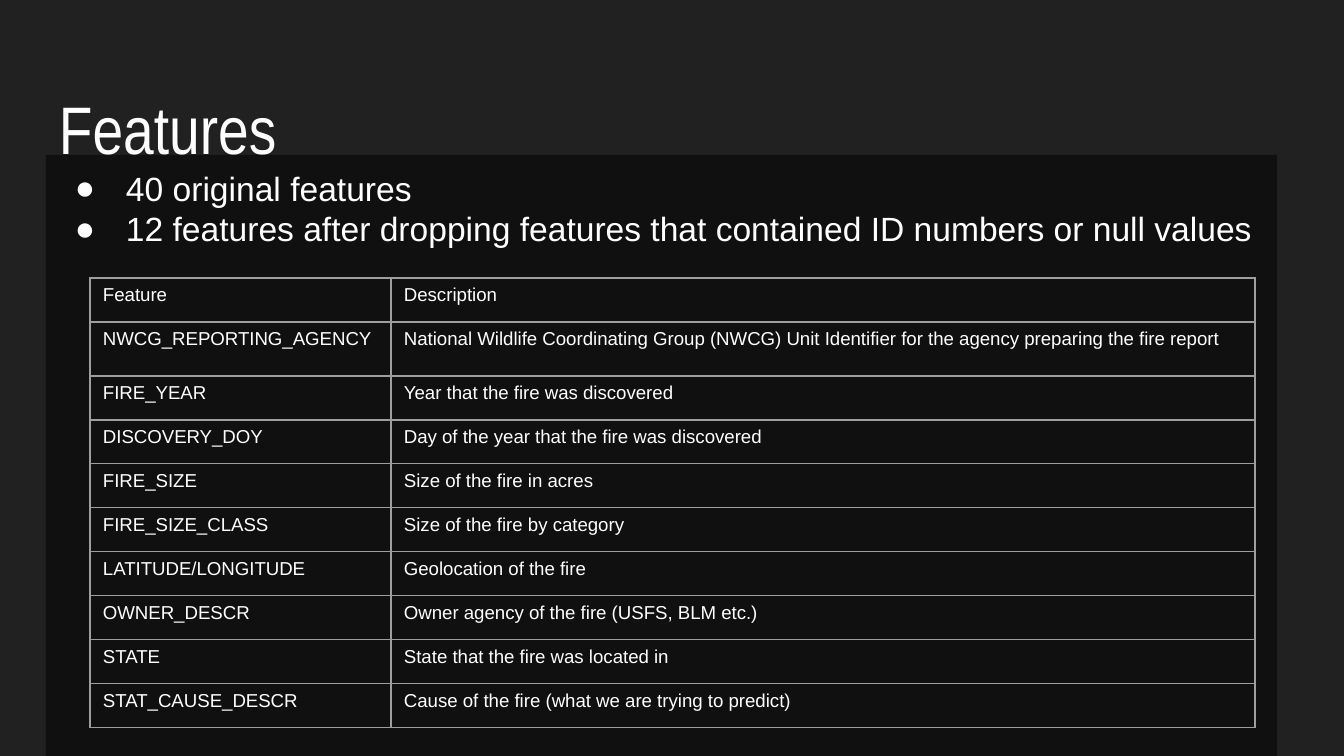
from lxml import etree
from pptx import Presentation
from pptx import util as u
from pptx.dml import color
from pptx.enum import text
from pptx.oxml import ns

PX = 914400 / 134.4
WHITE = "FFFFFF"
INSET = 13
FEATURES = [
    ("Feature", "Description"),
    ("NWCG_REPORTING_AGENCY", "National Wildlife Coordinating Group (NWCG) Unit Identifier "
                              "for the agency preparing the fire report"),
    ("FIRE_YEAR", "Year that the fire was discovered"),
    ("DISCOVERY_DOY", "Day of the year that the fire was discovered"),
    ("FIRE_SIZE", "Size of the fire in acres"),
    ("FIRE_SIZE_CLASS", "Size of the fire by category"),
    ("LATITUDE/LONGITUDE", "Geolocation of the fire"),
    ("OWNER_DESCR", "Owner agency of the fire (USFS, BLM etc.)"),
    ("STATE", "State that the fire was located in"),
    ("STAT_CAUSE_DESCR", "Cause of the fire (what we are trying to predict)"),
]
BULLETS = [
    "40 original features",
    "12 features after dropping features that contained ID numbers or null values",
]


def px(n):
    return u.Emu(round(n * PX))


def rgb(value):
    return color.RGBColor.from_string(value)


def sub(parent, tag, **attrs):
    el = etree.SubElement(parent, ns.qn(tag))
    for name, value in attrs.items():
        el.set(name, str(value))
    return el


def add_run(p, words, size, font="Arial"):
    r = p.add_run()
    r.text = words
    r.font.size = u.Pt(size)
    r.font.name = font
    r.font.color.rgb = rgb(WHITE)


def place(sp, box):
    sp.left, sp.top, sp.width, sp.height = map(px, box)
    tf = sp.text_frame
    tf.margin_left = tf.margin_right = tf.margin_top = tf.margin_bottom = px(INSET)
    tf.word_wrap = True
    tf.auto_size = text.MSO_AUTO_SIZE.NONE
    tf.vertical_anchor = text.MSO_ANCHOR.TOP
    return tf


def fill_title(sp, box):
    p = place(sp, box).paragraphs[0]
    p.alignment = text.PP_ALIGN.LEFT
    p.line_spacing = 1.1
    add_run(p, "Features", 36, "Arial Narrow")


def add_bullet(p, indent, hang):
    pPr = p._p.get_or_add_pPr()
    pPr.set("marL", str(px(indent)))
    pPr.set("indent", str(-px(hang)))
    sub(sub(pPr, "a:buClr"), "a:srgbClr", val=WHITE)
    sub(pPr, "a:buFont", typeface="Arial")
    sub(pPr, "a:buChar", char="●")


def fill_body(sp, box):
    tf = place(sp, box)
    sp.fill.solid()
    sp.fill.fore_color.rgb = rgb("000000")
    clr = sp.fill._xPr.find(".//" + ns.qn("a:srgbClr"))
    sub(clr, "a:alpha", val=50000)
    for i, words in enumerate(BULLETS):
        p = tf.add_paragraph() if i else tf.paragraphs[0]
        add_bullet(p, 67, 51)
        p.space_before = u.Pt(0)
        add_run(p, words, 18)


def add_borders(cell):
    tcPr = cell._tc.get_or_add_tcPr()
    for side in "LRTB":
        ln = sub(tcPr, "a:ln" + side, w=u.Pt(0.75))
        sub(sub(ln, "a:solidFill"), "a:srgbClr", val="9E9E9E")


def add_features(s, left, top, widths, heights):
    frame = s.shapes.add_table(len(heights), len(widths), px(left), px(top),
                               px(sum(widths)), px(sum(heights)))
    table = frame.table
    table.first_row = table.horz_banding = False
    for column, width in zip(table.columns, widths):
        column.width = px(width)
    for row, height, entries in zip(table.rows, heights, FEATURES):
        row.height = px(height)
        for cell, words in zip(row.cells, entries):
            add_borders(cell)
            cell.fill.background()
            cell.margin_left = cell.margin_right = px(INSET)
            cell.margin_top = cell.margin_bottom = u.Inches(0.05)
            add_run(cell.text_frame.paragraphs[0], words, 10)


def main():
    prs = Presentation()
    prs.slide_width, prs.slide_height = px(1344), px(756)
    s = prs.slides.add_slide(prs.slide_layouts[1])
    s.background.fill.solid()
    s.background.fill.fore_color.rgb = rgb("212121")
    title, body = s.placeholders
    fill_title(title, (46, 66, 1253, 85))
    fill_body(body, (46, 155, 1231, 609))
    add_features(s, 90, 278, [301, 864], [44, 54] + [44] * 8)
    prs.save("out.pptx")


if __name__ == "__main__":
    main()
